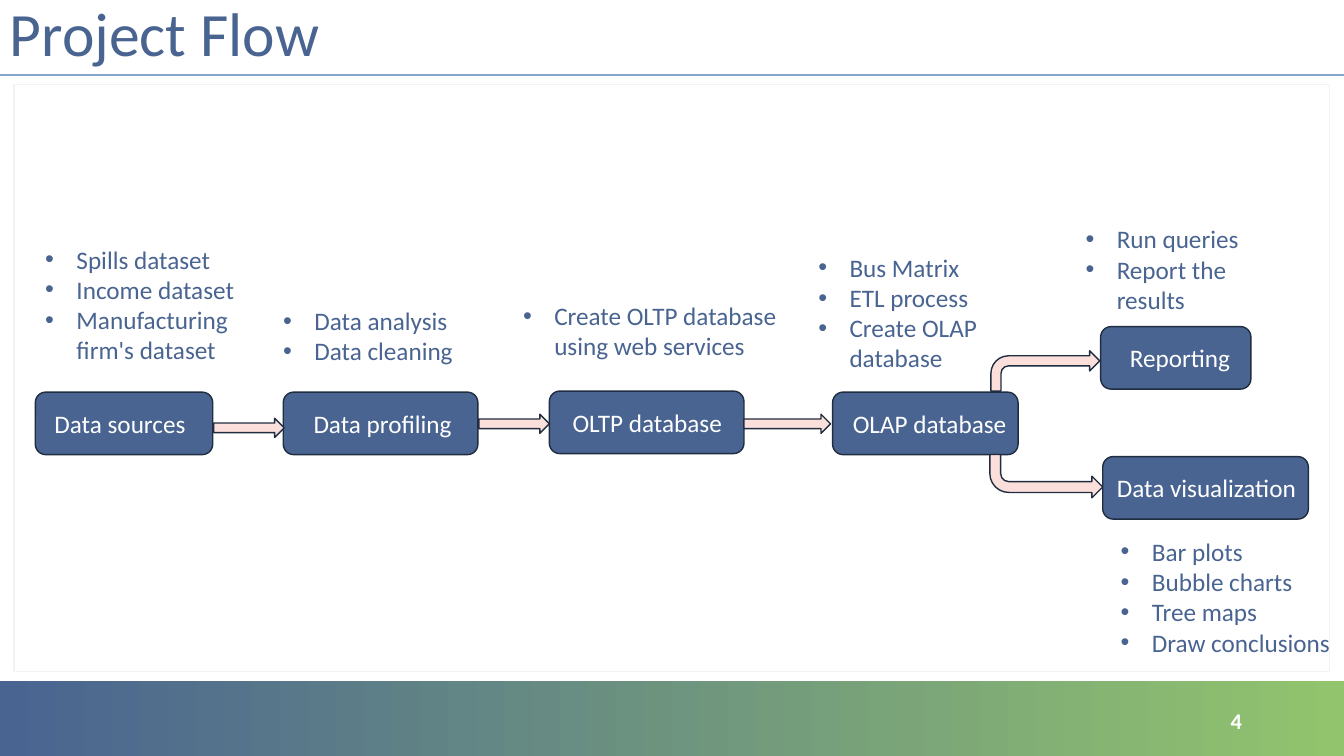
from lxml.etree import SubElement
from pptx import Presentation
from pptx.dml.color import RGBColor
from pptx.enum.shapes import MSO_CONNECTOR, MSO_SHAPE
from pptx.enum.text import MSO_ANCHOR, PP_ALIGN
from pptx.oxml.ns import qn
from pptx.util import Inches, Pt

WIDTH, HEIGHT = Inches(13.333), Inches(7.5)
BLUE, GREEN, PINK = "496491", "92C46D", "FBDFDA"
WHITE, DARK, SKY, PALE = "FFFFFF", "202C40", "85A5CC", "F2F2F2"
ROW, TALL = 51.87, 8.27  # top and height of the main row of steps

# left, top, width, left inset in inches, label
STEPS = [
    (2.63, ROW, 13.2, 0.16, "Data sources"),
    (21.08, ROW, 14.48, 0.27, "Data profiling"),
    (40.88, ROW - 0.14, 14.48, 0.2, "OLTP database"),
    (61.95, ROW, 13.8, 0.17, "OLAP database"),
    (81.9, 43.2, 11.18, 0.26, "Reporting"),
    (82.05, 60.4, 15.3, 0.11, "Data visualization"),
]
# left, top, width, height, items
NOTES = [
    (2.63, 31.6, 17.7, 17.47,
     ["Spills dataset", "Income dataset", "Manufacturing firm's dataset"]),
    (20.33, 39.73, 17.7, 9.47, ["Data analysis", "Data cleaning"]),
    (38.18, 39.07, 20.7, 13.47, ["Create OLTP database using web services"]),
    (60.15, 32.67, 13.5, 17.47,
     ["Bus Matrix", "ETL process", "Create OLAP database"]),
    (80.03, 28.93, 15.08, 13.6, ["Run queries", "Report the results"]),
    (82.65, 70.27, 17.35, 17.47,
     ["Bar plots", "Bubble charts", "Tree maps", "Draw conclusions"]),
]
ARROWS = [(15.9, 55.33, 5.25), (35.63, 54.8, 5.25), (55.35, 54.8, 6.45)]


def area(left, top, width, height):
    """Turn percentages of the slide into lengths."""
    return (int(WIDTH * left / 100), int(HEIGHT * top / 100),
            int(WIDTH * width / 100), int(HEIGHT * height / 100))


def color(code):
    return RGBColor.from_string(code)


def style(para, size, code, bold=False):
    font = para.font
    font.name, font.size, font.bold = "Calibri", Pt(size), bold
    font.color.rgb = color(code)


def block(slide, kind, place, fill=None, edge=None):
    shape = slide.shapes.add_shape(kind, *area(*place))
    shape.shadow.inherit = False
    if fill:
        shape.fill.solid()
        shape.fill.fore_color.rgb = color(fill)
    if edge:
        shape.line.color.rgb = color(edge)
        shape.line.width = Pt(1)
    else:
        shape.line.fill.background()
    return shape


def text(slide, place, anchor=MSO_ANCHOR.TOP):
    frame = slide.shapes.add_textbox(*area(*place)).text_frame
    frame.word_wrap = True
    frame.vertical_anchor = anchor
    return frame


def step(slide, left, top, width, inset, label):
    shape = block(slide, MSO_SHAPE.ROUNDED_RECTANGLE,
                  (left, top, width, TALL), BLUE, DARK)
    frame = shape.text_frame
    frame.word_wrap = False
    frame.margin_left, frame.margin_right = Inches(inset), 0
    frame.vertical_anchor = MSO_ANCHOR.MIDDLE
    para = frame.paragraphs[0]
    para.text = label
    para.alignment = PP_ALIGN.LEFT
    style(para, 18, WHITE)


def note(slide, left, top, width, height, items):
    """Add a bulleted list."""
    frame = text(slide, (left, top, width, height))
    for index, item in enumerate(items):
        para = frame.add_paragraph() if index else frame.paragraphs[0]
        para.text = item
        props = para._p.get_or_add_pPr()
        props.set("marL", str(Inches(0.31)))
        props.set("indent", str(-Inches(0.31)))
        SubElement(props, qn("a:buFont")).set("typeface", "Arial")
        SubElement(props, qn("a:buChar")).set("char", "•")
        style(para, 18, BLUE)


def bend(slide, place, flip=False):
    shape = block(slide, MSO_SHAPE.BENT_ARROW, place, PINK, DARK)
    if flip:
        shape._element.spPr.xfrm.set("flipV", "1")


def footer(slide):
    bar = block(slide, MSO_SHAPE.RECTANGLE, (0, 90.13, 100, 9.87))
    bar.fill.gradient()
    bar.fill.gradient_angle = 0
    for stop, code, spot in zip(bar.fill.gradient_stops, (BLUE, GREEN), (0, 1)):
        stop.color.rgb = color(code)
        stop.position = spot
    frame = text(slide, (70.65, 92.67, 22.5, 5.33), MSO_ANCHOR.MIDDLE)
    para = frame.paragraphs[0]
    para.text = "4"
    para.alignment = PP_ALIGN.RIGHT
    style(para, 16, WHITE, True)


def header(slide):
    level = int(HEIGHT * 0.0987)
    rule = slide.shapes.add_connector(
        MSO_CONNECTOR.STRAIGHT, 0, level, WIDTH, level)
    rule.line.color.rgb = color(SKY)
    rule.line.width = Pt(1.5)
    SubElement(rule._element.spPr, qn("a:effectLst"))
    frame = text(slide, (0, 0, 100, 9.6), MSO_ANCHOR.MIDDLE)
    para = frame.paragraphs[0]
    para.text = "Project Flow"
    para.line_spacing = 0.9
    style(para, 44, BLUE)


def main():
    deck = Presentation()
    deck.slide_width, deck.slide_height = WIDTH, HEIGHT
    slide = deck.slides.add_slide(deck.slide_layouts[6])
    footer(slide)
    header(slide)
    block(slide, MSO_SHAPE.RECTANGLE, (1.05, 11.2, 97.88, 77.6), WHITE, PALE)
    for item in STEPS:
        step(slide, *item)
    for left, top, width in ARROWS:
        block(slide, MSO_SHAPE.RIGHT_ARROW, (left, top, width, 2.53), PINK, DARK)
    bend(slide, (73.73, 46.4, 8.1, 5.33))
    bend(slide, (73.65, 60.13, 8.4, 5.73), flip=True)
    for item in NOTES:
        note(slide, *item)
    deck.save("out.pptx")


if __name__ == "__main__":
    main()
